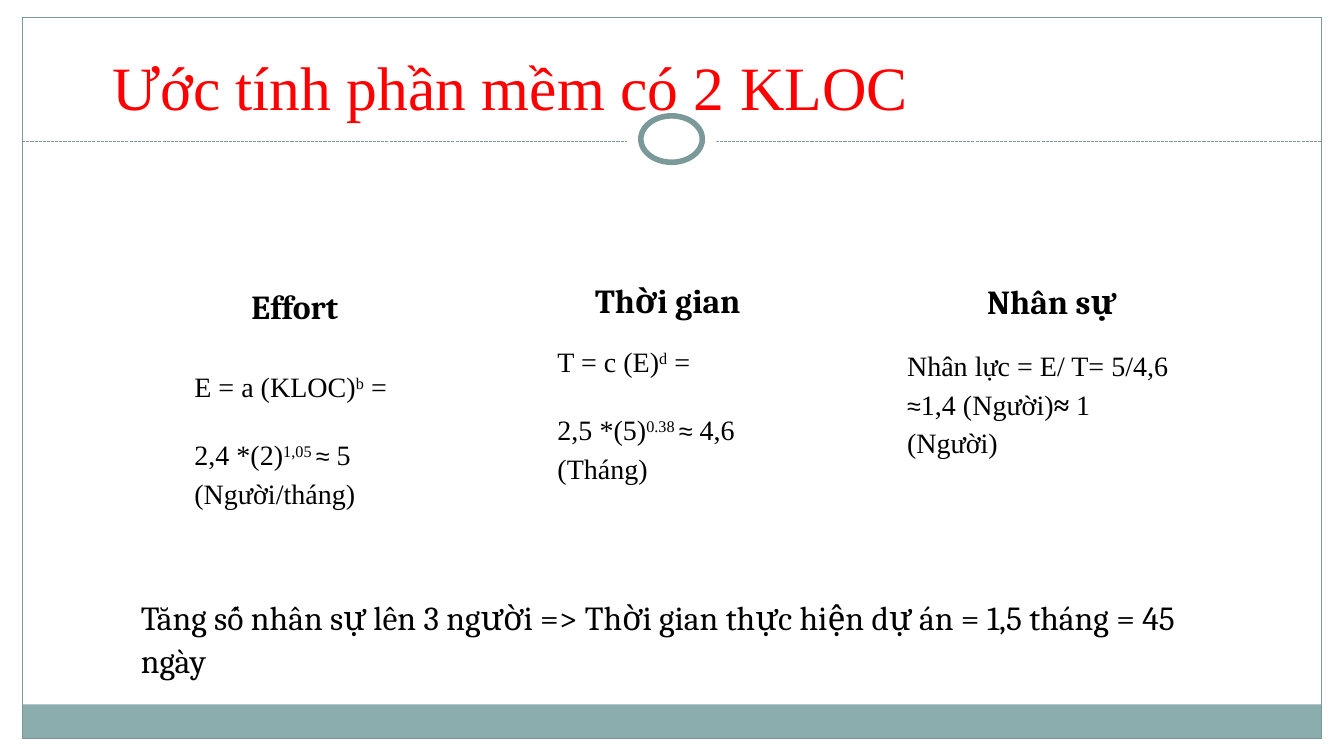
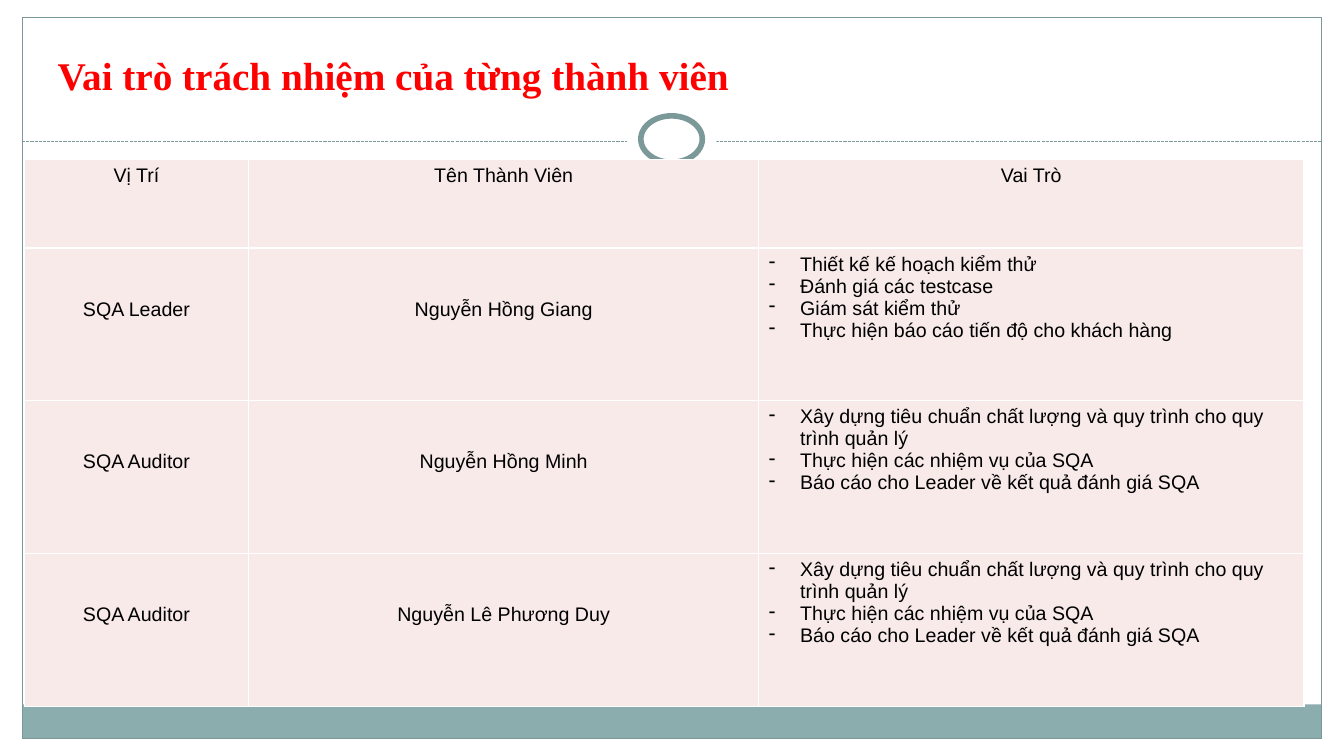
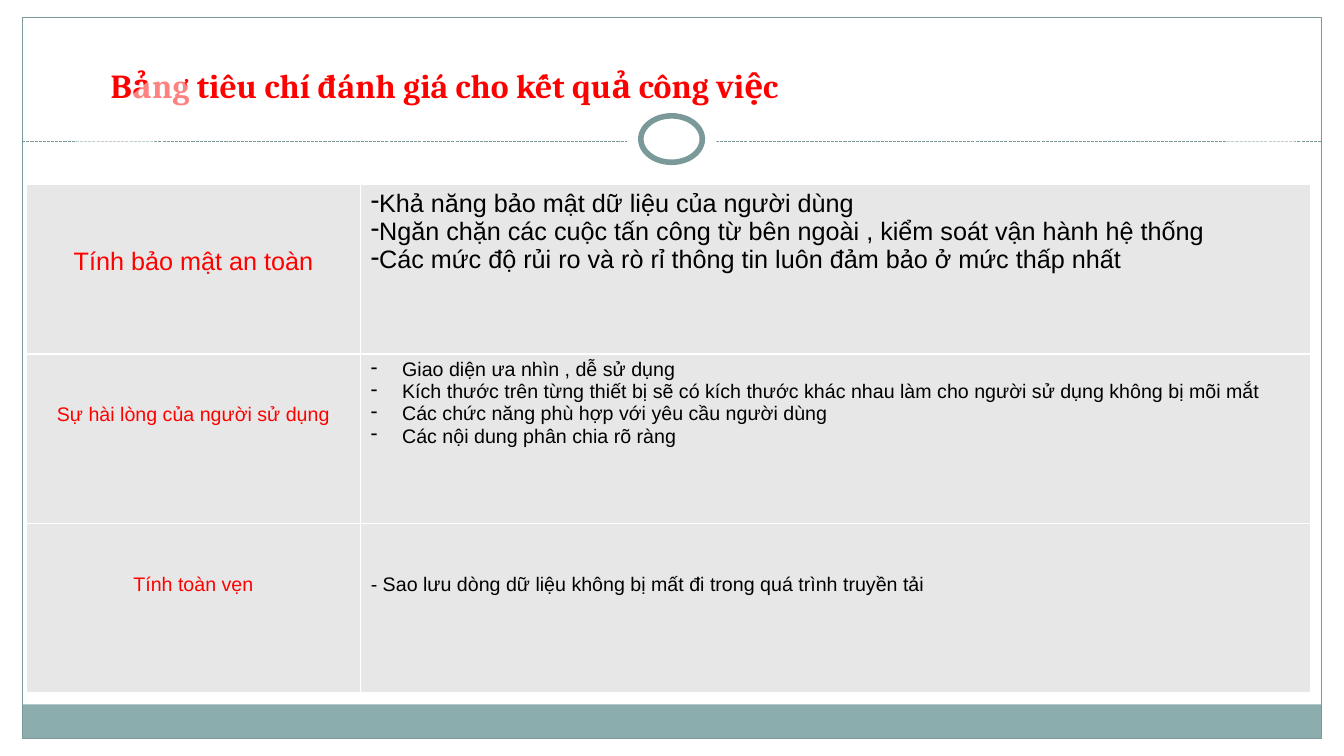
from dataclasses import dataclass

from lxml import etree
from pptx import Presentation
from pptx.dml.color import RGBColor
from pptx.enum.dml import MSO_LINE
from pptx.enum.shapes import MSO_CONNECTOR, MSO_SHAPE, PP_PLACEHOLDER
from pptx.enum.text import MSO_ANCHOR, MSO_AUTO_SIZE, PP_ALIGN
from pptx.oxml.ns import qn
from pptx.util import Cm, Pt

LEFT, CENTER = PP_ALIGN.LEFT, PP_ALIGN.CENTER
TOP = MSO_ANCHOR.TOP
RECT, OVAL = MSO_SHAPE.RECTANGLE, MSO_SHAPE.OVAL


@dataclass(frozen=True)
class Theme:
    white: str = "FFFFFF"
    black: str = "000000"
    red: str = "FF0000"
    band: str = "8CADAE"
    rule: str = "7C999A"
    pink: str = "F7EAE9"
    grey: str = "E7E7E7"
    serif: str = "Times New Roman"
    book: str = "Cambria"
    sans: str = "Arial"
    heading: int = 24
    formula: int = 20
    approx: int = 18
    large: int = 18
    small: int = 14


THEME = Theme()
WIDTH, HEIGHT = 33.87, 19.05
SIDE = 0.56
INNER = WIDTH - 2 * SIDE
RULE_Y = 3.56
PADDING = 0.33
SPAN = 21  # points between formula paragraphs
HANG = 0.79

# place, text, font, size, bold, padding (left, top), line spacing
TITLES = [
    ((2.51, 0.71, 24.33, 2.67), "Ước tính phần mềm có 2 KLOC",
     THEME.serif, 44, False, (PADDING, PADDING), 1.1),
    ((1.12, 0.84, 25.5, 3.73), "Vai trò trách nhiệm của từng thành viên",
     THEME.serif, 28, True, (PADDING, PADDING), 1.1),
    ((2.54, 1.5, 21.74, 1.27), "Bảng tiêu chí đánh giá cho kết quả công việc",
     THEME.book, 24, True, (0.25, 0.13), 1.0),
]

# Each formula paragraph is a list of (text, run kind)
ESTIMATES = [
    {"heading": "Effort", "heading_at": (3.58, 6.73), "body_at": (4.57, 8.86, 7.01, 6.32),
     "lines": [
         [("E = a (KLOC)", ""), ("b", "super"), (" =", "")],
         [("2,4 *(2)", ""), ("1,05 ", "super"), ("≈ ", "approx"), ("5 (Người/tháng)", "")],
     ]},
    {"heading": "Thời gian", "heading_at": (12.98, 6.58), "body_at": (13.72, 8.23, 6.99, 6.38),
     "lines": [
         [("T = c (E)", ""), ("d", "super"), (" =", "")],
         [("2,5 *(5)", ""), ("0.38 ", "super"), ("≈", "approx"), (" 4,6 (Tháng)", "")],
     ]},
    {"heading": "Nhân sự", "heading_at": (22.66, 6.6), "body_at": (22.53, 8.33, 7.7, 6.12),
     "lines": [
         [("Nhân lực = E/ T= 5/4,6 ", ""), ("≈", "approx"), ("1,4 (Người)", ""),
          ("≈ ", "bold"), ("1 (Người)", "")],
     ]},
]
HEADING_SIZE = (7.7, 1.68)
CONCLUSION = ("Tăng số nhân sự lên 3 người => Thời gian thực hiện dự án"
              " = 1,5 tháng = 45 ngày")
CONCLUSION_AT = (2.51, 14.83, 28.12, 3.84)

AUDITOR_DUTIES = [
    "Xây dựng tiêu chuẩn chất lượng và quy trình cho quy trình quản lý",
    "Thực hiện các nhiệm vụ của SQA",
    "Báo cáo cho Leader về kết quả đánh giá SQA",
]
ROLE_HEADER = ["Vị Trí", "Tên Thành Viên", "Vai Trò"]
ROLES = [
    ("SQA Leader", "Nguyễn Hồng Giang", [
        "Thiết kế kế hoạch kiểm thử",
        "Đánh giá các testcase",
        "Giám sát kiểm thử",
        "Thực hiện báo cáo tiến độ cho khách hàng",
    ]),
    ("SQA Auditor", "Nguyễn Hồng Minh", AUDITOR_DUTIES),
    ("SQA Auditor", "Nguyễn Lê Phương Duy", AUDITOR_DUTIES),
]
ROLE_COLUMNS, ROLE_ROWS = [5.66, 12.85, 13.74], [2.24, 3.85, 3.85, 3.85]
ROLE_AT = (0.61, 4.01)

# criterion, size, details, detail options
CRITERIA = [
    ("Tính bảo mật an toàn", THEME.large, [
        "Khả năng bảo mật dữ liệu của người dùng",
        "Ngăn chặn các cuộc tấn công từ bên ngoài , kiểm soát vận hành hệ thống",
        "Các mức độ rủi ro và rò rỉ thông tin luôn đảm bảo ở mức thấp nhất",
    ], {"hang": 0}),
    ("Sự hài lòng của người sử dụng", THEME.small, [
        "Giao diện ưa nhìn , dễ sử dụng",
        "Kích thước trên từng thiết bị sẽ có kích thước khác nhau làm cho người sử dụng"
        " không bị mõi mắt",
        "Các chức năng phù hợp với yêu cầu người dùng",
        "Các nội dung phân chia rõ ràng",
    ], {"hang": HANG}),
    ("Tính toàn vẹn", THEME.small, [
        "- Sao lưu dòng dữ liệu không bị mất đi trong quá trình truyền tải",
    ], {"drop": 2}),
]
CRITERIA_COLUMNS, CRITERIA_ROWS = [8.43, 23.95], [4.27] * 3
CRITERIA_AT = (0.66, 4.65)

# Translucent strips that fade both ends of the dashed rule
FADES = [
    [(29.77, 0.74), (33.02, 3.94), (32.23, 4.78), (28.85, 1.7)],
    [(5.08, 2.64), (1.5, 5.44), (0.76, 4.55), (4.27, 1.6)],
]


def color(code):
    return RGBColor.from_string(code)


def paint(shape, fill=None, line=None, weight=0.75):
    shape.shadow.inherit = False
    if fill:
        shape.fill.solid()
        shape.fill.fore_color.rgb = color(fill)
    else:
        shape.fill.background()
    if line:
        shape.line.color.rgb = color(line)
        shape.line.width = Pt(weight)
    else:
        shape.line.fill.background()


def style(span, font, size, ink=THEME.black, bold=False):
    span.font.name, span.font.size, span.font.bold = font, Pt(size), bold
    span.font.color.rgb = color(ink)


def set_padding(frame, left, top):
    frame.margin_left = frame.margin_right = Cm(left)
    frame.margin_top = frame.margin_bottom = Cm(top)


def add_box(page, place, padding=(PADDING, PADDING)):
    frame = page.shapes.add_textbox(*map(Cm, place)).text_frame
    frame.word_wrap = True
    frame.vertical_anchor = TOP
    set_padding(frame, *padding)
    return frame


def set_indent(para, left, first, bullet=None):
    properties = para._p.get_or_add_pPr()
    properties.set("marL", str(Cm(left)))
    properties.set("indent", str(Cm(first)))
    if bullet:
        etree.SubElement(properties, qn("a:buChar")).set("char", bullet)


def add_frame_to_layout(page):
    """Draw the shared frame and move it behind the layout's title."""
    layout = page.slide_layout
    for holder in list(layout.placeholders):
        if holder.placeholder_format.type != PP_PLACEHOLDER.TITLE:
            layout.shapes.element.remove(holder.element)
    parts = []

    def add(kind, place, **look):
        shape = page.shapes.add_shape(kind, *map(Cm, place))
        paint(shape, **look)
        parts.append(shape)

    for place in [(0, 0, WIDTH, 3.86), (0, 0, SIDE, HEIGHT),
                  (WIDTH - SIDE, 0, SIDE, HEIGHT)]:
        add(RECT, place, fill=THEME.white)
    add(RECT, (SIDE, 17.75, INNER, 0.87), fill=THEME.band)
    add(RECT, (SIDE, 0.43, INNER, 18.19), line=THEME.rule)

    rule = page.shapes.add_connector(MSO_CONNECTOR.STRAIGHT, Cm(SIDE), Cm(RULE_Y),
                                     Cm(WIDTH - SIDE), Cm(RULE_Y))
    rule.line.color.rgb = color(THEME.rule)
    rule.line.width = Pt(0.75)
    rule.line.dash_style = MSO_LINE.SQUARE_DOT
    etree.SubElement(rule.element.spPr, qn("a:effectLst"))
    parts.append(rule)

    add(OVAL, (15.8, 2.67, 2.26, 1.7), fill=THEME.white)
    add(OVAL, (16.15, 2.92, 1.55, 1.17), fill=THEME.white, line=THEME.rule, weight=4)
    for position, part in enumerate(parts, start=2):
        layout.shapes.element.insert(position, part.element)


def set_title(page, place, text, font, size, bold, padding, spacing):
    title = page.shapes.title
    title.left, title.top, title.width, title.height = map(Cm, place)
    frame = title.text_frame
    frame.text = text
    frame.word_wrap = True
    frame.auto_size = MSO_AUTO_SIZE.NONE
    frame.vertical_anchor = TOP
    set_padding(frame, *padding)
    para = frame.paragraphs[0]
    para.alignment = LEFT
    para.line_spacing = spacing
    style(para.runs[0], font, size, THEME.red, bold)


def add_formula(page, place, lines):
    frame = add_box(page, place)
    for number, line in enumerate(lines):
        para = frame.add_paragraph() if number else frame.paragraphs[0]
        para.line_spacing = 1.15
        para.space_after = Pt(SPAN)
        for text, kind in line:
            span = para.add_run()
            span.text = text
            if kind == "approx":
                style(span, THEME.sans, THEME.approx)
            else:
                style(span, THEME.serif, THEME.formula, bold=kind == "bold")
            if kind == "super":
                span._r.get_or_add_rPr().set("baseline", "30000")


def add_estimates(page):
    for estimate in ESTIMATES:
        frame = add_box(page, estimate["heading_at"] + HEADING_SIZE)
        frame.text = estimate["heading"]
        para = frame.paragraphs[0]
        para.alignment, para.line_spacing = CENTER, 1.15
        style(para.runs[0], THEME.book, THEME.heading, bold=True)
        add_formula(page, estimate["body_at"], estimate["lines"])
    frame = add_box(page, CONCLUSION_AT, (0.25, 0.13))
    frame.text = CONCLUSION
    para = frame.paragraphs[0]
    para.line_spacing = 1.07
    set_indent(para, HANG, 0)
    style(para.runs[0], THEME.book, THEME.heading)


def add_grid(page, place, columns, rows, fill):
    """Add a plain table with white cell borders."""
    size = sum(columns), sum(rows)
    table = page.shapes.add_table(len(rows), len(columns), *map(Cm, place + size)).table
    table.first_row = table.horz_banding = False
    for column, width in zip(table.columns, columns):
        column.width = Cm(width)
    for row, height in zip(table.rows, rows):
        row.height = Cm(height)
    for cell in table.iter_cells():
        properties = cell._tc.get_or_add_tcPr()
        for side in ("a:lnL", "a:lnR", "a:lnT", "a:lnB"):
            border = etree.SubElement(properties, qn(side), w=str(Pt(1)))
            paper = etree.SubElement(border, qn("a:solidFill"))
            etree.SubElement(paper, qn("a:srgbClr"), val=THEME.white)
        cell.fill.solid()
        cell.fill.fore_color.rgb = color(fill)
    return table


def fill_cell(cell, lines, size=THEME.small, ink=THEME.black, align=LEFT, drop=0, hang=None):
    """Write lines, lowered by drop text lines; hang turns them into dashed bullets."""
    cell.text = "\n".join(lines)
    cell.vertical_anchor = TOP
    cell.margin_top = Cm(0.13) + Pt(drop * size * 1.15)
    for para in cell.text_frame.paragraphs:
        para.alignment = align
        if hang is not None:
            set_indent(para, hang, -hang, "-")
        style(para.runs[0], THEME.sans, size, ink)


def add_roles(page):
    table = add_grid(page, ROLE_AT, ROLE_COLUMNS, ROLE_ROWS, THEME.pink)
    for column, label in enumerate(ROLE_HEADER):
        fill_cell(table.cell(0, column), [label], align=CENTER)
    for row, (position, member, duties) in enumerate(ROLES, start=1):
        for column, text in enumerate((position, member)):
            fill_cell(table.cell(row, column), [text], align=CENTER, drop=2)
        fill_cell(table.cell(row, 2), duties, hang=HANG)


def add_criteria(page):
    for corners in FADES:
        points = [(Cm(x), Cm(y)) for x, y in corners]
        builder = page.shapes.build_freeform(*points[0])
        builder.add_line_segments(points[1:], close=True)
        strip = builder.convert_to_shape()
        paint(strip, fill=THEME.white)
        tint = strip.element.spPr.find(".//" + qn("a:srgbClr"))
        etree.SubElement(tint, qn("a:alpha"), val="51000")
    table = add_grid(page, CRITERIA_AT, CRITERIA_COLUMNS, CRITERIA_ROWS, THEME.grey)
    for row, (criterion, size, details, options) in enumerate(CRITERIA):
        fill_cell(table.cell(row, 0), [criterion], size, THEME.red, CENTER, drop=2)
        fill_cell(table.cell(row, 1), details, size, **options)


def main():
    deck = Presentation()
    deck.slide_width, deck.slide_height = Cm(WIDTH), Cm(HEIGHT)
    title_only = deck.slide_layouts[5]
    for number, (title, add_content) in enumerate(
            zip(TITLES, (add_estimates, add_roles, add_criteria))):
        page = deck.slides.add_slide(title_only)
        if number == 0:
            add_frame_to_layout(page)
        set_title(page, *title)
        add_content(page)
    deck.save("out.pptx")


if __name__ == "__main__":
    main()
